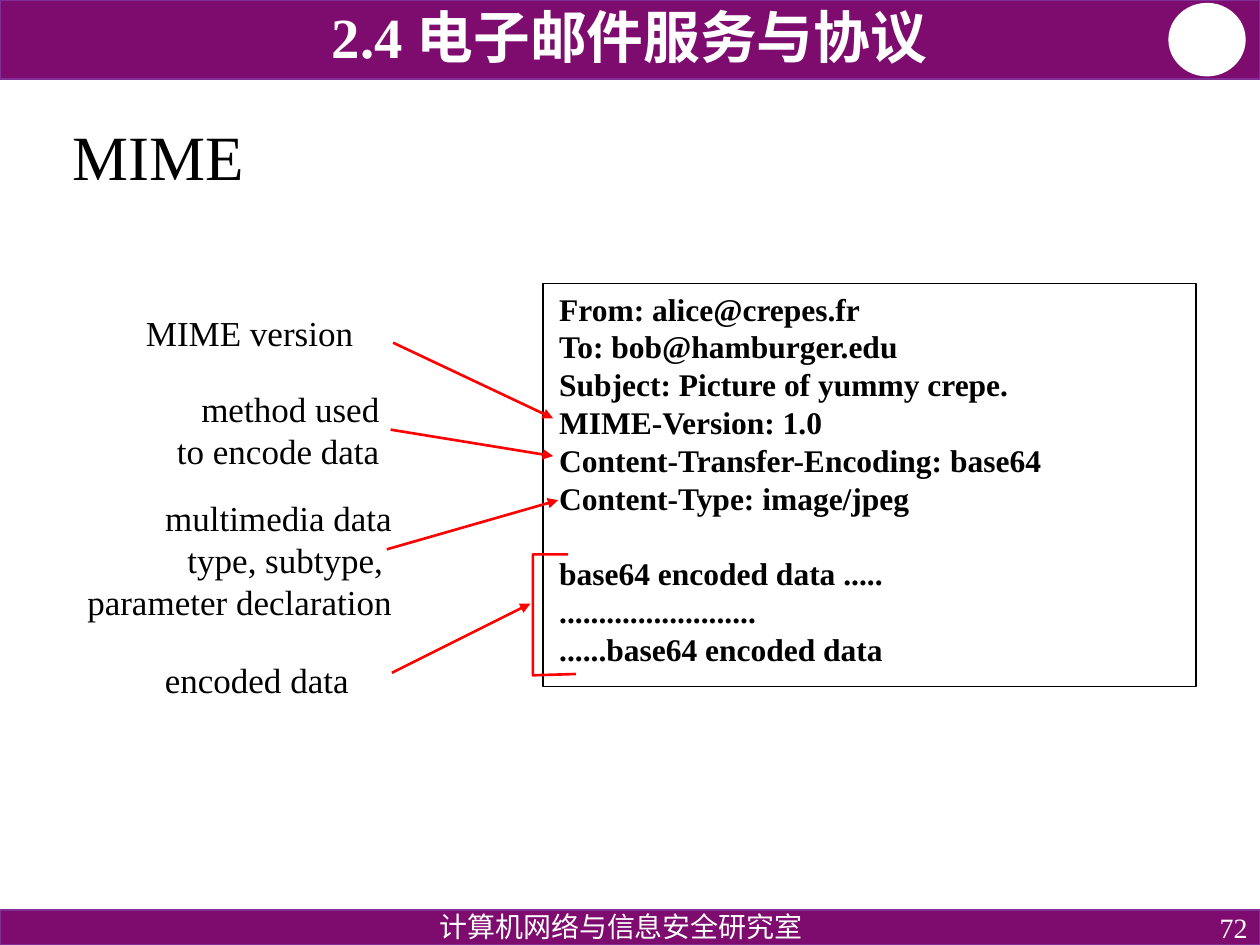
from dataclasses import dataclass

from lxml.etree import SubElement
from pptx import Presentation
from pptx.dml.color import RGBColor
from pptx.enum.shapes import MSO_CONNECTOR as Connector, MSO_SHAPE as Shape
from pptx.enum.text import MSO_ANCHOR as Anchor, PP_ALIGN as Align
from pptx.oxml.ns import qn
from pptx.util import Inches, Pt

FONT = "Times New Roman"
PURPLE, BORDER, WHITE, BLACK, RED = "7E0C6E", "7F2F95", "FFFFFF", "000000", "FF0000"


@dataclass
class Area:
    left: float
    top: float
    width: float
    height: float

    def lengths(self) -> list:
        return [Inches(n) for n in (self.left, self.top, self.width, self.height)]


@dataclass
class Label:
    area: Area
    lines: list[str]
    size: float
    color: str = BLACK
    align: Align = Align.LEFT
    anchor: Anchor = Anchor.TOP
    bold: bool = False
    wrap: bool = True
    spacing: float = 1.0


@dataclass
class Arrow:
    start: tuple[float, float]
    end: tuple[float, float]


def rgb(color: str) -> RGBColor:
    return RGBColor.from_string(color)


def set_all(target, values: dict) -> None:
    for name, value in values.items():
        setattr(target, name, value)


def set_line(shape, color: str, width: float) -> None:
    shape.line.color.rgb = rgb(color)
    shape.line.width = Pt(width)


def draw_shape(page, kind: Shape, area: Area, fill: str | None, line: str) -> None:
    shape = page.shapes.add_shape(kind, *area.lengths())
    shape.shadow.inherit = False
    if fill:
        shape.fill.solid()
        shape.fill.fore_color.rgb = rgb(fill)
    else:
        shape.fill.background()
    set_line(shape, line, 1)


def draw_label(page, label: Label):
    box = page.shapes.add_textbox(*label.area.lengths())
    frame = box.text_frame
    set_all(frame, {"word_wrap": label.wrap, "vertical_anchor": label.anchor})
    for index, line in enumerate(label.lines):
        para = frame.add_paragraph() if index else frame.paragraphs[0]
        set_all(para, {"alignment": label.align, "line_spacing": label.spacing})
        span = para.add_run()
        span.text = line
        set_all(span.font, {"name": FONT, "size": Pt(label.size), "bold": label.bold})
        span.font.color.rgb = rgb(label.color)
    return frame


def draw_arrow(page, arrow: Arrow) -> None:
    points = [Inches(n) for n in (*arrow.start, *arrow.end)]
    connector = page.shapes.add_connector(Connector.STRAIGHT, *points)
    set_line(connector, RED, 1.5)
    SubElement(connector.line._get_or_add_ln(), qn("a:tailEnd"), type="triangle")
    SubElement(connector._element.spPr, qn("a:effectLst"))


def draw_bracket(page, points: list[tuple[float, float]]) -> None:
    corners = [(Inches(x), Inches(y)) for x, y in points]
    builder = page.shapes.build_freeform(*corners[0])
    builder.add_line_segments(corners[1:], close=False)
    bracket = builder.convert_to_shape()
    bracket.shadow.inherit = False
    bracket.fill.background()
    set_line(bracket, RED, 1.5)


HEADER = [
    "From: alice@crepes.fr",
    "To: bob@hamburger.edu",
    "Subject: Picture of yummy crepe.",
    "MIME-Version: 1.0",
    "Content-Transfer-Encoding: base64",
    "Content-Type: image/jpeg",
]
BODY = ["base64 encoded data .....", "." * 25, "......base64 encoded data"]

LABELS = [
    Label(Area(7.75, 7.22, 2.25, 0.28), ["72"], 16, WHITE, Align.RIGHT, Anchor.MIDDLE),
    Label(Area(2.69, 7.2, 4.48, 0.28), ["计算机网络与信息安全研究室"], 16, WHITE,
          Align.CENTER, spacing=0.9),
    Label(Area(0.48, 0.68, 9.27, 1.18), ["MIME"], 36, anchor=Anchor.MIDDLE, spacing=0.9),
    Label(Area(0.58, 3.89, 2.63, 1.11),
          ["multimedia data", "type, subtype, ", "parameter declaration"], 20,
          align=Align.RIGHT, wrap=False),
    Label(Area(1.29, 3.03, 1.82, 0.77), ["method used", "to encode data"], 20,
          align=Align.RIGHT, wrap=False),
    Label(Area(1.06, 2.42, 1.86, 0.44), ["MIME version"], 20, wrap=False),
    Label(Area(1.21, 5.18, 1.67, 0.44), ["encoded data"], 20, wrap=False),
    Label(Area(0.72, 0.04, 8.55, 0.56), ["2.4 电子邮件服务与协议"], 32.4, WHITE,
          Align.CENTER, Anchor.BOTTOM, bold=True, spacing=0.8),
]
ARROWS = [
    Arrow((3.12, 2.72), (4.39, 3.32)),
    Arrow((3.1, 3.41), (4.39, 3.62)),
    Arrow((3.07, 4.36), (4.43, 3.97)),
    Arrow((3.11, 5.34), (4.21, 4.79)),
]


def main() -> None:
    deck = Presentation()
    set_all(deck, {"slide_width": Inches(10), "slide_height": Inches(7.5)})
    page = deck.slides.add_slide(deck.slide_layouts[6])

    draw_shape(page, Shape.RECTANGLE, Area(0, 0, 10, 0.63), PURPLE, BORDER)
    draw_shape(page, Shape.OVAL, Area(9.28, 0.03, 0.6, 0.57), WHITE, WHITE)
    draw_shape(page, Shape.RECTANGLE, Area(0, 7.22, 10, 0.28), PURPLE, BORDER)

    message = Label(Area(4.34, 2.25, 5.44, 3.4), HEADER + BODY, 18, bold=True)
    frame = draw_label(page, message)
    frame.paragraphs[len(HEADER)].space_before = Pt(21.6)
    draw_shape(page, Shape.RECTANGLE, Area(4.31, 2.25, 5.18, 3.2), None, BLACK)

    for label in LABELS:
        draw_label(page, label)
    for arrow in ARROWS:
        draw_arrow(page, arrow)
    draw_bracket(page, [(4.51, 4.4), (4.23, 4.4), (4.23, 5.36), (4.57, 5.35)])

    deck.save("out.pptx")


if __name__ == "__main__":
    main()
